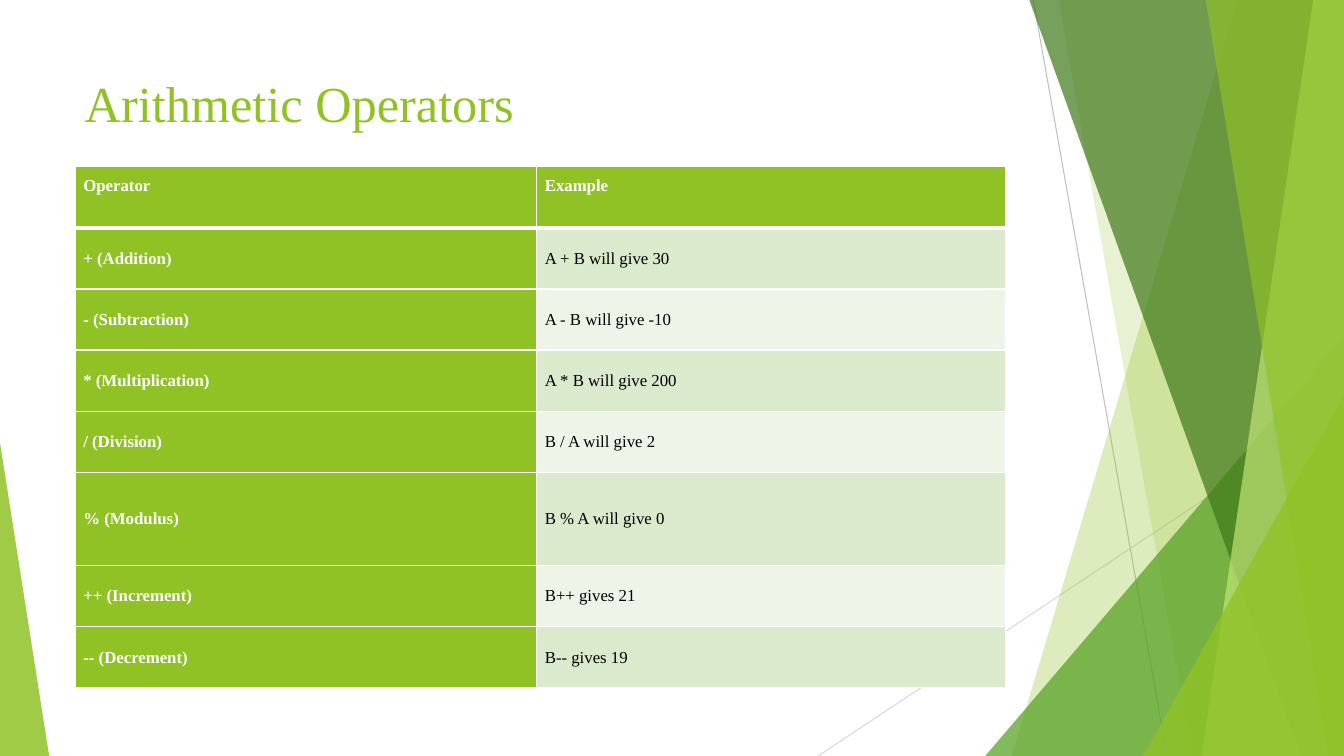
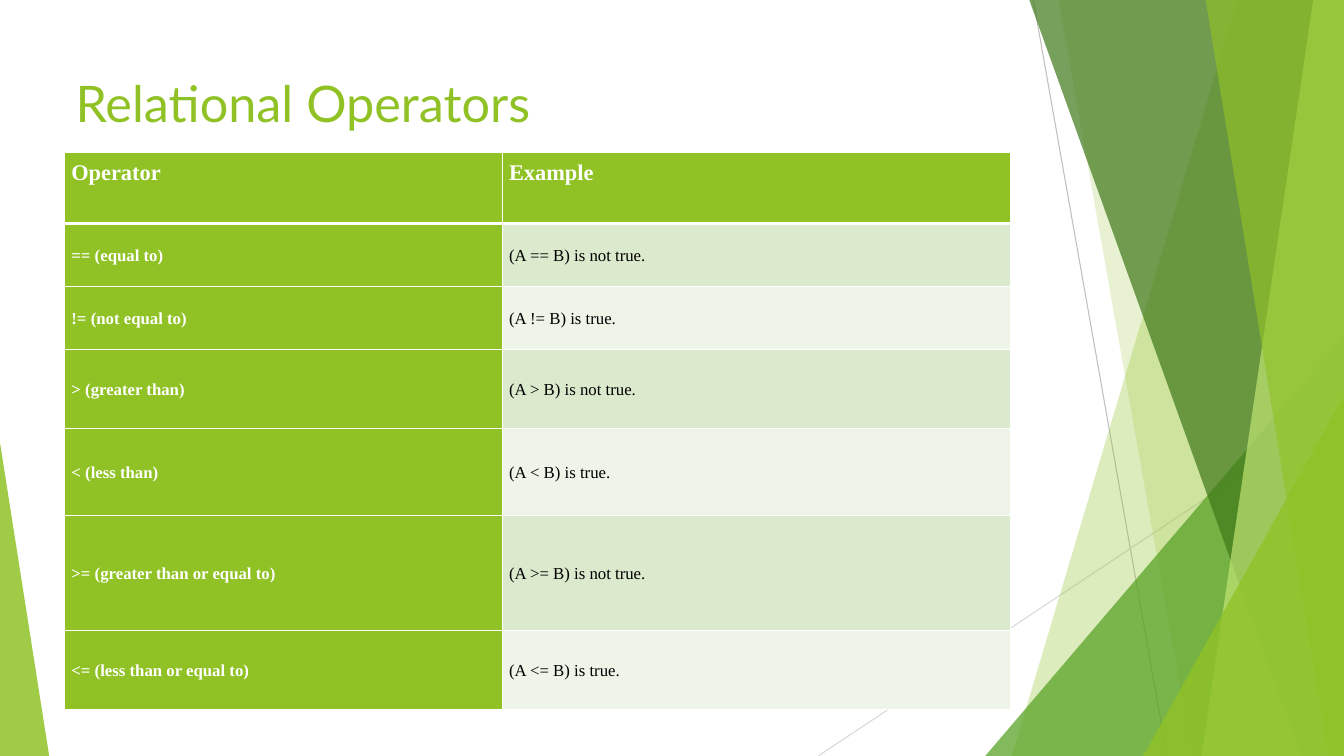
from pptx import Presentation
from pptx.dml.color import RGBColor as RGB
from pptx.enum.shapes import MSO_CONNECTOR, MSO_SHAPE
from pptx.enum.text import MSO_ANCHOR as ANCHOR, MSO_AUTO_SIZE, PP_ALIGN
from pptx.oxml.ns import qn
from pptx.util import Cm, Pt
from lxml.etree import SubElement

LIME = RGB(0x90, 0xC2, 0x26)
GREEN = RGB(0x54, 0xA0, 0x21)
FOREST = RGB(0x3F, 0x78, 0x19)
PALE_LIME = RGB(0xC0, 0xE4, 0x74)
ROW_TINTS = RGB(0xDB, 0xE9, 0xCD), RGB(0xEE, 0xF4, 0xE8)
GREY = RGB(0xBF, 0xBF, 0xBF)
LIGHT_GREY = RGB(0xD9, 0xD9, 0xD9)
WHITE = RGB(0xFF, 0xFF, 0xFF)
BLACK = RGB(0, 0, 0)

SERIF, SANS = "Times New Roman", "Lato"
WIDTH, HEIGHT = 33.87, 19.05  # slide size in cm


class Deck:
    """Holds the style and the current slide."""

    def __init__(self):
        self.prs = Presentation()
        self.prs.slide_width, self.prs.slide_height = Cm(WIDTH), Cm(HEIGHT)
        self.s = None

    def slide(self, title, font, box):
        self.s = self.prs.slides.add_slide(self.prs.slide_layouts[5])
        self.backdrop()
        self.title(title, font, box)

    # Green facets behind the content
    def backdrop(self):
        self.line(26.04, 0, 29.41, HEIGHT, GREY)
        self.line(WIDTH, 10.24, 20.62, HEIGHT, LIGHT_GREY)
        self.band(31.19, 25.5, LIME, 30)
        self.band(26.67, 30.05, LIME, 20)
        self.corner(9.04, 10.59, GREEN, 72)
        self.band(25.93, 32.79, FOREST, 70)
        self.band(33.1, 30.28, PALE_LIME, 70)
        self.band(30.38, 33.48, LIME, 65)
        self.corner(5.06, 9.07, LIME, 80)
        self.corner(1.24, 7.9, LIME, 85, right=False)

    def line(self, x1, y1, x2, y2, color):
        c = self.s.shapes.add_connector(
            MSO_CONNECTOR.STRAIGHT, Cm(x1), Cm(y1), Cm(x2), Cm(y2))
        c.line.color.rgb, c.line.width = color, Pt(0.75)
        SubElement(c.element.spPr, qn("a:effectLst"))

    def band(self, top_x, bottom_x, color, opacity):
        """Full-height facet from a slanted left edge to the right side."""
        top = Cm(-0.03)
        fb = self.s.shapes.build_freeform(Cm(top_x), top, scale=1.0)
        fb.add_line_segments([(Cm(WIDTH), top), (Cm(WIDTH), Cm(HEIGHT)),
                              (Cm(bottom_x), Cm(HEIGHT))], close=True)
        self.glaze(fb.convert_to_shape(), color, opacity)

    def corner(self, w, h, color, opacity, right=True):
        """Right triangle standing in a bottom corner."""
        sp = self.s.shapes.add_shape(
            MSO_SHAPE.ISOSCELES_TRIANGLE, Cm(WIDTH - w if right else 0),
            Cm(HEIGHT - h), Cm(w), Cm(h))
        sp.adjustments[0] = 1 if right else 0
        self.glaze(sp, color, opacity)

    def glaze(self, sp, color, opacity):
        sp.shadow.inherit = False
        sp.line.fill.background()
        sp.fill.solid()
        sp.fill.fore_color.rgb = color
        clr = sp.element.spPr.find(qn("a:solidFill")).find(qn("a:srgbClr"))
        SubElement(clr, qn("a:alpha")).set("val", str(opacity * 1000))

    # Text
    def title(self, text, font, box):
        sp = self.s.shapes.title
        sp.element.getparent().append(sp.element)  # in front of the backdrop
        sp.left, sp.top, sp.width, sp.height = (Cm(v) for v in box)
        tf = sp.text_frame
        tf.word_wrap, tf.auto_size = True, MSO_AUTO_SIZE.NONE
        tf.vertical_anchor = ANCHOR.TOP
        p = tf.paragraphs[0]
        p.alignment = PP_ALIGN.LEFT
        self.run(p, text, 36, LIME, font)

    def run(self, p, text, size, color, font=SERIF, bold=False):
        r = p.add_run()
        r.text = text
        r.font.name, r.font.size, r.font.bold = font, Pt(size), bold
        r.font.color.rgb = color

    # Table with a header row and a header column
    def table(self, x, y, cols, heights, rows, header_size, inset):
        rows = [("Operator", "Example")] + rows
        tbl = self.s.shapes.add_table(
            len(rows), len(cols), Cm(x), Cm(y),
            Cm(sum(cols)), Cm(sum(heights))).table
        for col, w in zip(tbl.columns, cols):
            col.width = Cm(w)
        for i, (row, h) in enumerate(zip(rows, heights)):
            tbl.rows[i].height = Cm(h)
            for j, text in enumerate(row):
                self.cell(tbl.cell(i, j), text, i, j,
                          12 if i else header_size, inset)

    def cell(self, cell, text, i, j, size, inset):
        head = i == 0 or j == 0
        cell.margin_left = cell.margin_right = Cm(inset)
        cell.margin_top = cell.margin_bottom = Cm(inset)
        cell.vertical_anchor = ANCHOR.MIDDLE if i else ANCHOR.TOP
        cell.fill.solid()
        cell.fill.fore_color.rgb = LIME if head else ROW_TINTS[(i - 1) % 2]
        p = cell.text_frame.paragraphs[0]
        p.line_spacing, p.space_after = 1.07, Pt(15)
        self.run(p, text, size, WHITE if head else BLACK, bold=head)
        self.borders(cell, top=3 if i == 1 else 1, bottom=1 if i else 3)

    def borders(self, cell, top, bottom):
        tc_pr = cell._tc.get_or_add_tcPr()
        sides = ("lnL", 1), ("lnR", 1), ("lnT", top), ("lnB", bottom)
        for k, (side, width) in enumerate(sides):
            ln = SubElement(tc_pr, qn("a:" + side))
            ln.set("w", str(Pt(width)))
            fill = SubElement(ln, qn("a:solidFill"))
            SubElement(fill, qn("a:srgbClr")).set("val", str(WHITE))
            tc_pr.insert(k, ln)  # borders come before the fill


def main():
    deck = Deck()

    # Arithmetic operators
    deck.slide("Arithmetic Operators", SERIF, (1.88, 1.7, 23.88, 2.51))
    deck.table(1.89, 4.2, (11.63, 11.82), [1.54] * 5 + [2.34] + [1.54] * 2, [
        ("+ (Addition)", "A + B will give 30"),
        ("- (Subtraction)", "A - B will give -10"),
        ("* (Multiplication)", "A * B will give 200"),
        ("/ (Division)", "B / A will give 2"),
        ("% (Modulus)", "B % A will give 0"),
        ("++ (Increment)", "B++ gives 21"),
        ("-- (Decrement)", "B-- gives 19"),
    ], header_size=12, inset=0.21)

    # Relational operators
    deck.slide("Relational Operators", SANS, (1.65, 1.7, 24.1, 2.11))
    deck.table(1.63, 3.83, (11.03, 12.8),
               [1.8, 1.59, 1.59, 1.99, 2.19, 2.9, 1.98], [
        ("== (equal to)", "(A == B) is not true."),
        ("!= (not equal to)", "(A != B) is true."),
        ("> (greater than)", "(A > B) is not true."),
        ("< (less than)", "(A < B) is true."),
        (">= (greater than or equal to)", "(A >= B) is not true."),
        ("<= (less than or equal to)", "(A <= B) is true."),
    ], header_size=16, inset=0.17)

    deck.prs.save("out.pptx")


if __name__ == "__main__":
    main()
